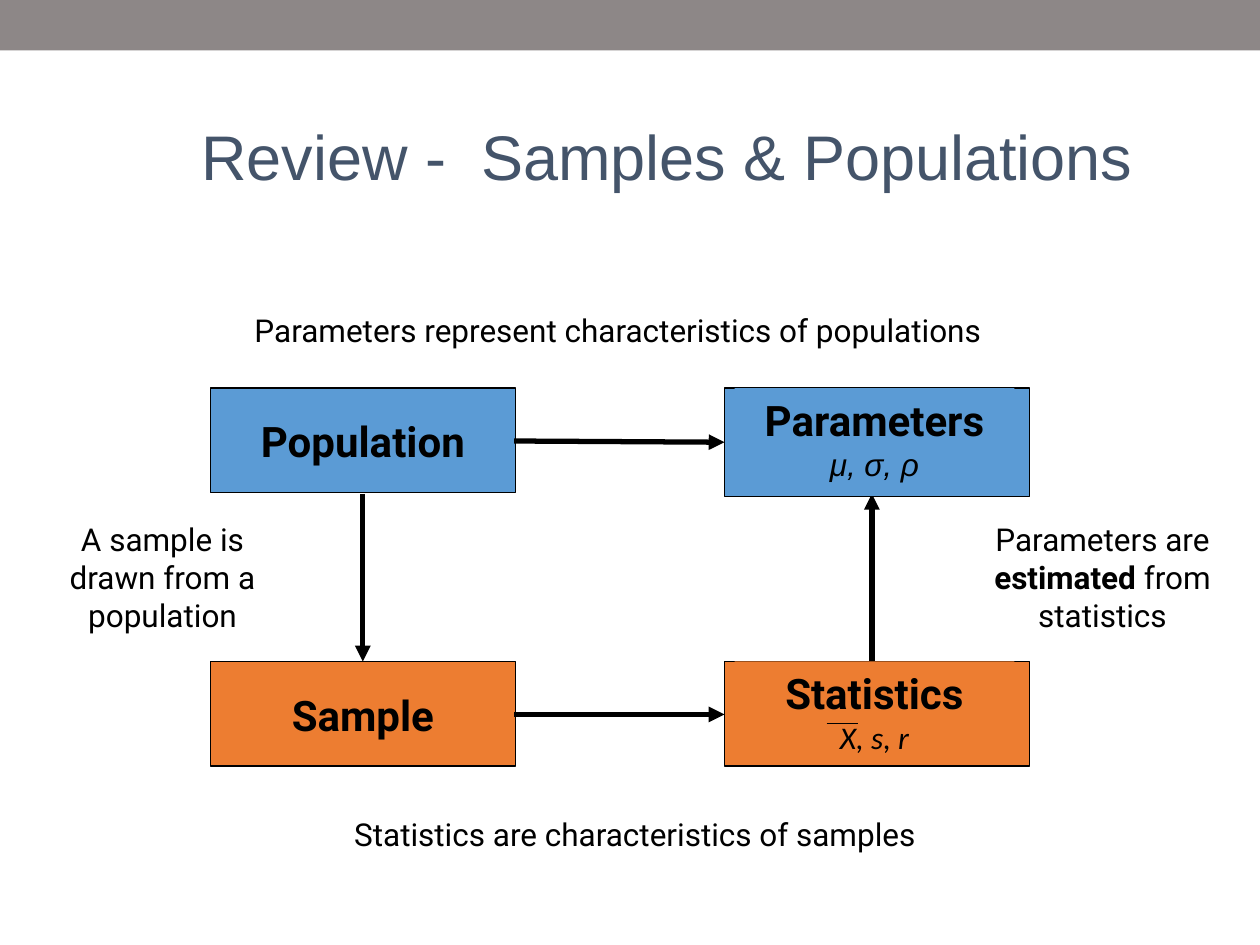
from dataclasses import dataclass

from lxml.etree import SubElement
from pptx import Presentation
from pptx.dml.color import RGBColor
from pptx.enum.shapes import MSO_CONNECTOR, MSO_SHAPE
from pptx.enum.text import MSO_ANCHOR, PP_ALIGN
from pptx.oxml.ns import qn
from pptx.util import Inches, Pt


@dataclass(frozen=True)
class Theme:
    band: RGBColor = RGBColor(0x8D, 0x87, 0x87)
    title: RGBColor = RGBColor(0x44, 0x54, 0x6A)
    ink: RGBColor = RGBColor(0, 0, 0)
    blue: RGBColor = RGBColor(0x5B, 0x9B, 0xD5)
    orange: RGBColor = RGBColor(0xED, 0x7D, 0x31)
    font: str = "Roboto"
    title_font: str = "Arial"
    title_size: int = 36
    heading_size: int = 24
    body_size: int = 18
    border: float = 0.75
    arrow: float = 3


@dataclass(frozen=True)
class Run:
    text: str
    size: int
    font: str
    color: RGBColor
    bold: bool = False
    italic: bool = False


THEME = Theme()
LEFT_COLUMN, RIGHT_COLUMN = 1.67, 5.75
TOP_ROW, BOTTOM_ROW = 3.08, 5.25
BOX_WIDTH, BOX_HEIGHT = 2.42, 0.83
LABEL_WIDTH = 2.22


def body(text, bold=False, italic=False, font=THEME.font):
    return Run(text, THEME.body_size, font, THEME.ink, bold, italic)


def heading(text):
    return Run(text, THEME.heading_size, THEME.font, THEME.ink, True)


def add_rectangle(slide, left, top, width, height, fill, border=None):
    shape = slide.shapes.add_shape(
        MSO_SHAPE.RECTANGLE, Inches(left), Inches(top), Inches(width), Inches(height)
    )
    shape.shadow.inherit = False
    shape.fill.solid()
    shape.fill.fore_color.rgb = fill
    if border is None:
        shape.line.fill.background()
    else:
        shape.line.color.rgb = border
        shape.line.width = Pt(THEME.border)


def add_text(slide, left, top, width, height, paragraphs,
             alignment=PP_ALIGN.CENTER, anchor=MSO_ANCHOR.TOP, fill=None):
    shape = slide.shapes.add_textbox(
        Inches(left), Inches(top), Inches(width), Inches(height)
    )
    if fill is not None:
        shape.fill.solid()
        shape.fill.fore_color.rgb = fill
    frame = shape.text_frame
    frame.word_wrap = True
    frame.vertical_anchor = anchor
    for index, runs in enumerate(paragraphs):
        paragraph = frame.add_paragraph() if index else frame.paragraphs[0]
        paragraph.alignment = alignment
        for content in runs:
            run = paragraph.add_run()
            run.text = content.text
            run.font.name = content.font
            run.font.size = Pt(content.size)
            run.font.bold = content.bold
            run.font.italic = content.italic
            run.font.color.rgb = content.color


def add_line(slide, start, end, width, arrow=True):
    connector = slide.shapes.add_connector(
        MSO_CONNECTOR.STRAIGHT, *(Inches(value) for value in (*start, *end))
    )
    connector.line.color.rgb = THEME.ink
    connector.line.width = Pt(width)
    if arrow:
        SubElement(connector.line._get_or_add_ln(), qn("a:tailEnd"), type="triangle")
    SubElement(connector._element.spPr, qn("a:effectLst"))


def add_concept(slide, left, top, fill, paragraphs, label_left, label_top,
                label_height, height=BOX_HEIGHT):
    add_rectangle(slide, left, top, BOX_WIDTH, height, fill, THEME.ink)
    add_text(slide, label_left, label_top, LABEL_WIDTH, label_height,
             paragraphs, fill=fill)


def add_concepts(slide):
    add_concept(slide, LEFT_COLUMN, TOP_ROW, THEME.blue,
                [[heading("Population")]], 1.77, 3.25, 0.5)
    add_concept(slide, LEFT_COLUMN, BOTTOM_ROW, THEME.orange,
                [[heading("Sample")]], 1.77, 5.42, 0.5)
    add_concept(slide, RIGHT_COLUMN, TOP_ROW, THEME.blue,
                [[heading("Parameters")],
                 [body("μ, σ, ρ", italic=True, font="Arial")]],
                5.83, TOP_ROW, 0.8, height=0.86)
    add_concept(slide, RIGHT_COLUMN, BOTTOM_ROW, THEME.orange,
                [[heading("Statistics")],
                 [body("X, s, r", italic=True, font="Calibri")]],
                5.83, BOTTOM_ROW, 0.8)
    add_line(slide, (6.56, 5.74), (6.81, 5.74), THEME.border, arrow=False)


def add_captions(slide):
    captions = [
        (0.33, 4.08, 1.92, 1, [body("A sample is drawn from a population")]),
        (7.79, 4.08, 1.92, 1, [body("Parameters are "), body("estimated", bold=True),
                               body(" from statistics")]),
        (1.92, 2.42, 5.97, 0.4,
         [body("Parameters represent characteristics of populations")]),
        (2.5, 6.42, 5.08, 0.4, [body("Statistics are characteristics of samples")]),
    ]
    for left, top, width, height, runs in captions:
        add_text(slide, left, top, width, height, [runs])


def main():
    presentation = Presentation()
    presentation.slide_width = Inches(10)
    presentation.slide_height = Inches(7.5)
    slide = presentation.slides.add_slide(presentation.slide_layouts[6])

    add_rectangle(slide, 0, 0, 10, 0.4, THEME.band)
    title = Run("Review -  Samples & Populations", THEME.title_size,
                THEME.title_font, THEME.title)
    add_text(slide, 1.5, 0.33, 8, 1.25, [[title]], PP_ALIGN.LEFT, MSO_ANCHOR.BOTTOM)

    add_line(slide, (2.88, 3.92), (2.88, BOTTOM_ROW), THEME.arrow)
    add_line(slide, (6.92, BOTTOM_ROW), (6.92, 3.92), THEME.arrow)
    add_concepts(slide)
    add_line(slide, (4.08, 3.5), (RIGHT_COLUMN, 3.51), THEME.arrow)
    add_line(slide, (4.08, 5.67), (RIGHT_COLUMN, 5.67), THEME.arrow)
    add_captions(slide)

    presentation.save("out.pptx")


if __name__ == "__main__":
    main()
